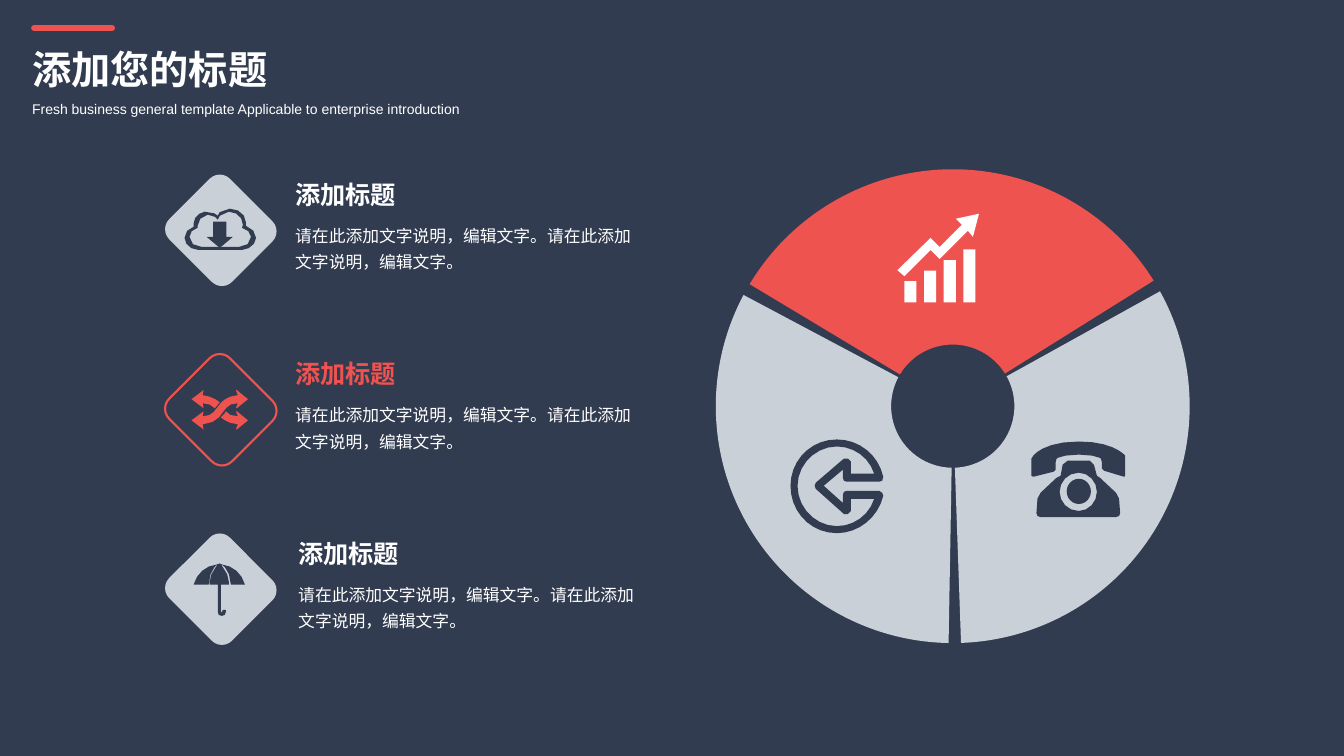
import math

import pptx
import pptx.dml.color
import pptx.enum.shapes
import pptx.enum.text
import pptx.oxml
import pptx.oxml.ns
import pptx.util

Inches = pptx.util.Inches
RGBColor = pptx.dml.color.RGBColor
SHAPE = pptx.enum.shapes.MSO_SHAPE
FIT = pptx.enum.text.MSO_AUTO_SIZE
NAVY = RGBColor(0x32, 0x3C, 0x50)
CORAL = RGBColor(0xEF, 0x53, 0x50)
GREY = RGBColor(0xCA, 0xD0, 0xD8)
WHITE = RGBColor(0xFF, 0xFF, 0xFF)
BODY = "请在此添加文字说明，编辑文字。请在此添加文字说明，编辑文字。"

# Icon outlines in inches: a pair is a corner, six numbers are a Bezier curve
CLOUD = [
    [(2.44, 2.24), (2.44, 2.21), (2.44, 2.13, 2.37, 2.07, 2.28, 2.07),
     (2.17, 2.07, 2.16, 2.14, 2.16, 2.14), (2.16, 2.14, 2.11, 2.09, 2.03, 2.1),
     (1.97, 2.11, 1.92, 2.16, 1.92, 2.22), (1.92, 2.25), (1.87, 2.26, 1.83, 2.31, 1.83, 2.36),
     (1.83, 2.42, 1.89, 2.48, 1.97, 2.48), (2.4, 2.48), (2.47, 2.48, 2.54, 2.42, 2.54, 2.36),
     (2.54, 2.31, 2.5, 2.26, 2.44, 2.24)],
    [(2.37, 2.45), (2, 2.45), (1.93, 2.45, 1.88, 2.41, 1.88, 2.35),
     (1.88, 2.31, 1.91, 2.27, 1.96, 2.26), (1.96, 2.24), (1.96, 2.19, 2, 2.14, 2.06, 2.13),
     (2.12, 2.12, 2.16, 2.18, 2.16, 2.18), (2.16, 2.18, 2.18, 2.1, 2.27, 2.1),
     (2.35, 2.1, 2.41, 2.16, 2.41, 2.23), (2.4, 2.26), (2.45, 2.27, 2.49, 2.31, 2.49, 2.35),
     (2.49, 2.41, 2.44, 2.45, 2.37, 2.45)],
]
SHUFFLE = [
    [(2.46, 4.17), (2.35, 4.26), (2.34, 4.26), (2.36, 4.21), (2.27, 4.2, 2.23, 4.17, 2.19, 4.14),
     (2.23, 4.1), (2.24, 4.08), (2.26, 4.11, 2.3, 4.13, 2.36, 4.13), (2.34, 4.08), (2.35, 4.08)],
    [(2.02, 4.05), (2.01, 4), (2.07, 4, 2.1, 4.02, 2.13, 4.05), (2.14, 4.04), (2.18, 3.99),
     (2.14, 3.96, 2.09, 3.93, 2.01, 3.92), (2.02, 3.87), (1.9, 3.96)],
    [(2.21, 4.09), (2.25, 4.04, 2.27, 4, 2.36, 4), (2.34, 4.05), (2.35, 4.05), (2.46, 3.96),
     (2.35, 3.87), (2.34, 3.87), (2.36, 3.92), (2.24, 3.93, 2.19, 3.99, 2.15, 4.05),
     (2.12, 4.09, 2.09, 4.13, 2.01, 4.13), (2.02, 4.08), (1.9, 4.17), (2.02, 4.26), (2.01, 4.21),
     (2.13, 4.2, 2.18, 4.14, 2.21, 4.09)],
]
BROLLY = [
    [(2.29, 5.8), (2.43, 5.8), (2.4, 5.69, 2.31, 5.61, 2.2, 5.6), (2.18, 5.59), (2.15, 5.6),
     (2.04, 5.61, 1.95, 5.69, 1.92, 5.8), (2.07, 5.8), (2.07, 5.68, 2.14, 5.61, 2.15, 5.6),
     (2.15, 5.61), (2.07, 5.7, 2.08, 5.8, 2.08, 5.8), (2.16, 5.8), (2.16, 6.07),
     (2.17, 6.1), (2.2, 6.11), (2.23, 6.1), (2.24, 6.07), (2.24, 6.05),
     (2.21, 6.05), (2.2, 6.08), (2.19, 6.06), (2.19, 5.8), (2.27, 5.8),
     (2.27, 5.8, 2.28, 5.7, 2.2, 5.61), (2.2, 5.6), (2.22, 5.61, 2.29, 5.68, 2.29, 5.8)],
]
RETURN = [
    [(8.3, 5.29), (8.04, 5.29, 7.84, 5.08, 7.84, 4.82), (7.84, 4.57, 8.04, 4.36, 8.3, 4.36),
     (8.52, 4.36, 8.71, 4.51, 8.76, 4.73), (8.75, 4.77), (8.72, 4.78), (8.4, 4.78),
     (8.37, 4.77), (8.36, 4.74), (8.36, 4.66), (8.17, 4.82), (8.36, 4.99),
     (8.36, 4.91), (8.37, 4.88), (8.4, 4.87), (8.72, 4.87), (8.75, 4.89), (8.76, 4.92),
     (8.71, 5.13, 8.52, 5.29, 8.3, 5.29)],
    [(8.3, 4.43), (8.09, 4.43, 7.91, 4.61, 7.91, 4.82), (7.91, 5.04, 8.09, 5.22, 8.3, 5.22),
     (8.47, 5.22, 8.62, 5.11, 8.67, 4.95), (8.44, 4.95), (8.44, 5.07),
     (8.41, 5.1), (8.37, 5.1), (8.09, 4.85), (8.08, 4.82), (8.09, 4.79),
     (8.37, 4.55), (8.41, 4.55), (8.44, 4.58), (8.44, 4.7), (8.67, 4.7),
     (8.62, 4.54, 8.47, 4.43, 8.3, 4.43)],
]
HANDSET = [
    [(11.16, 4.52), (11.16, 4.52, 11.05, 4.38, 10.7, 4.38), (10.35, 4.38, 10.25, 4.52, 10.25, 4.52),
     (10.23, 4.55), (10.23, 4.72), (10.25, 4.73), (10.45, 4.68), (10.47, 4.66), (10.47, 4.59),
     (10.48, 4.55), (10.48, 4.55, 10.53, 4.51, 10.7, 4.51), (10.87, 4.51, 10.92, 4.55, 10.92, 4.55),
     (10.93, 4.59), (10.93, 4.65), (10.95, 4.67), (11.15, 4.73), (11.16, 4.72)],
]
PHONE = [
    [(11.07, 4.89), (10.91, 4.74), (10.88, 4.72), (10.85, 4.61), (10.81, 4.57), (10.59, 4.57),
     (10.54, 4.61), (10.52, 4.72), (10.48, 4.74), (10.32, 4.89), (10.29, 4.95), (10.28, 5.09),
     (10.29, 5.12), (10.32, 5.13), (11.07, 5.13), (11.1, 5.12), (11.11, 5.09), (11.1, 4.95)],
    [(10.7, 5.07), (10.59, 5.07, 10.51, 4.98, 10.51, 4.88), (10.51, 4.78, 10.59, 4.69, 10.7, 4.69),
     (10.8, 4.69, 10.88, 4.78, 10.88, 4.88), (10.88, 4.98, 10.8, 5.07, 10.7, 5.07)],
]
TREND = [
    [(9.65, 2.35), (9.71, 2.12), (9.48, 2.17), (9.54, 2.23), (9.32, 2.45), (9.23, 2.36),
     (8.9, 2.68), (8.97, 2.74), (9.23, 2.48), (9.32, 2.57), (9.6, 2.29)],
]


def paint(shape, fill, line=None):
    shape.shadow.inherit = False
    if fill is None:
        shape.fill.background()
    else:
        shape.fill.solid()
        shape.fill.fore_color.rgb = fill
    if line is None:
        shape.line.fill.background()
    else:
        shape.line.color.rgb = line
        shape.line.width = pptx.util.Pt(1.5)
    return shape


def add_preset(shapes, kind, box, fill, line=None):
    return paint(shapes.add_shape(kind, *map(Inches, box)), fill, line)


def flatten(outline):
    points = [outline[0]]
    for part in outline[1:]:
        if len(part) == 2:
            points.append(part)
            continue
        knots = [points[-1], part[:2], part[2:4], part[4:]]
        steps = math.ceil(math.dist(knots[0], knots[3]) / 0.08)
        for step in range(1, steps + 1):
            t = step / steps
            mix = [math.comb(3, i) * t**i * (1 - t) ** (3 - i) for i in range(4)]
            points.append(tuple(sum(m * k[axis] for m, k in zip(mix, knots)) for axis in (0, 1)))
    return points


def add_outline(shapes, outlines, fill):
    build = None
    for outline in outlines:
        first, *rest = [(Inches(x), Inches(y)) for x, y in flatten(outline)]
        if build is None:
            build = shapes.build_freeform(*first)
        else:
            build.move_to(*first)
        build.add_line_segments(rest, close=True)
    return paint(build.convert_to_shape(), fill)


def add_sector(shapes, start, fill):
    sector = add_preset(shapes, SHAPE.BLOCK_ARC, (7.1, 1.68, 4.7, 4.7), fill)
    # One degree is 0.6 of an adjustment unit
    sector.adjustments[0] = start % 360 * 0.6
    sector.adjustments[1] = (start + 117) % 360 * 0.6
    sector.adjustments[2] = 0.37


def set_text(shape, box, text, size, color, bold=False, wrap=True, space=None):
    shape.left, shape.top, shape.width, shape.height = map(Inches, box)
    frame = shape.text_frame
    frame.text = text
    frame.word_wrap = wrap
    frame.auto_size = FIT.SHAPE_TO_FIT_TEXT
    frame.vertical_anchor = pptx.enum.text.MSO_ANCHOR.TOP
    para = frame.paragraphs[0]
    para.alignment = pptx.enum.text.PP_ALIGN.LEFT
    para.line_spacing = space
    para.font.name, para.font.size = "Arial", pptx.util.Pt(size)
    para.font.bold, para.font.color.rgb = bold, color


def add_text(shapes, box, *args, **style):
    set_text(shapes.add_textbox(*map(Inches, box)), box, *args, **style)


def add_accent(shapes):
    bar = shapes.add_connector(pptx.enum.shapes.MSO_CONNECTOR.STRAIGHT,
                               *map(Inches, (0.34, 0.28, 1.11, 0.28)))
    bar.line.color.rgb = CORAL
    bar.line.width = pptx.util.Pt(4.5)
    props = bar.element.spPr
    props.get_or_add_ln().set("cap", "rnd")
    props.append(pptx.oxml.parse_xml("<a:effectLst %s/>" % pptx.oxml.ns.nsdecls("a")))


def add_item(shapes, row, left, icon, active):
    top = 1.78 * row
    tile = add_preset(shapes, SHAPE.ROUNDED_RECTANGLE, (1.75, 1.86 + top, 0.88, 0.85),
                      None if active else GREY, CORAL if active else None)
    tile.rotation = 45
    add_outline(shapes, icon, CORAL if active else NAVY)
    add_text(shapes, (left, 1.73 + top, 1.2, 0.4), "添加标题", 18,
             CORAL if active else WHITE, bold=True)
    add_text(shapes, (left, 2.13 + top, 3.66, 0.63), BODY, 12, WHITE, space=1.3)


def main():
    deck = pptx.Presentation()
    deck.slide_width, deck.slide_height = Inches(13.33), Inches(7.5)
    slide = deck.slides.add_slide(deck.slide_layouts[5])
    slide.background.fill.solid()
    slide.background.fill.fore_color.rgb = NAVY
    shapes = slide.shapes

    # Heading
    add_accent(shapes)
    set_text(shapes.title, (0.22, 0.4, 2.56, 0.57), "添加您的标题", 28, WHITE, bold=True, wrap=False)
    add_text(shapes, (0.22, 0.95, 4.48, 0.27),
             "Fresh business general template Applicable to enterprise introduction",
             10, WHITE, wrap=False)

    # Ring of three sectors
    for turn, fill in enumerate((CORAL, GREY, GREY)):
        add_sector(shapes, 211 + 120 * turn, fill)

    # Sector icons
    add_outline(shapes, TREND, WHITE)
    for step in range(4):
        high = 0.21 + 0.105 * step
        add_preset(shapes, SHAPE.RECTANGLE, (8.97 + 0.195 * step, 3 - high, 0.12, high), WHITE)
    for icon in (HANDSET, PHONE, RETURN):
        add_outline(shapes, icon, NAVY)
    add_preset(shapes, SHAPE.OVAL, (10.58, 4.75, 0.24, 0.25), NAVY)

    # Items on the left
    for row, (left, icon) in enumerate(((2.83, CLOUD), (2.83, SHUFFLE), (2.86, BROLLY))):
        add_item(shapes, row, left, icon, active=row == 1)
    arrow = add_preset(shapes, SHAPE.DOWN_ARROW, (2.05, 2.2, 0.26, 0.26), NAVY)
    arrow.adjustments[1] = 0.42

    deck.save("out.pptx")


if __name__ == "__main__":
    main()
